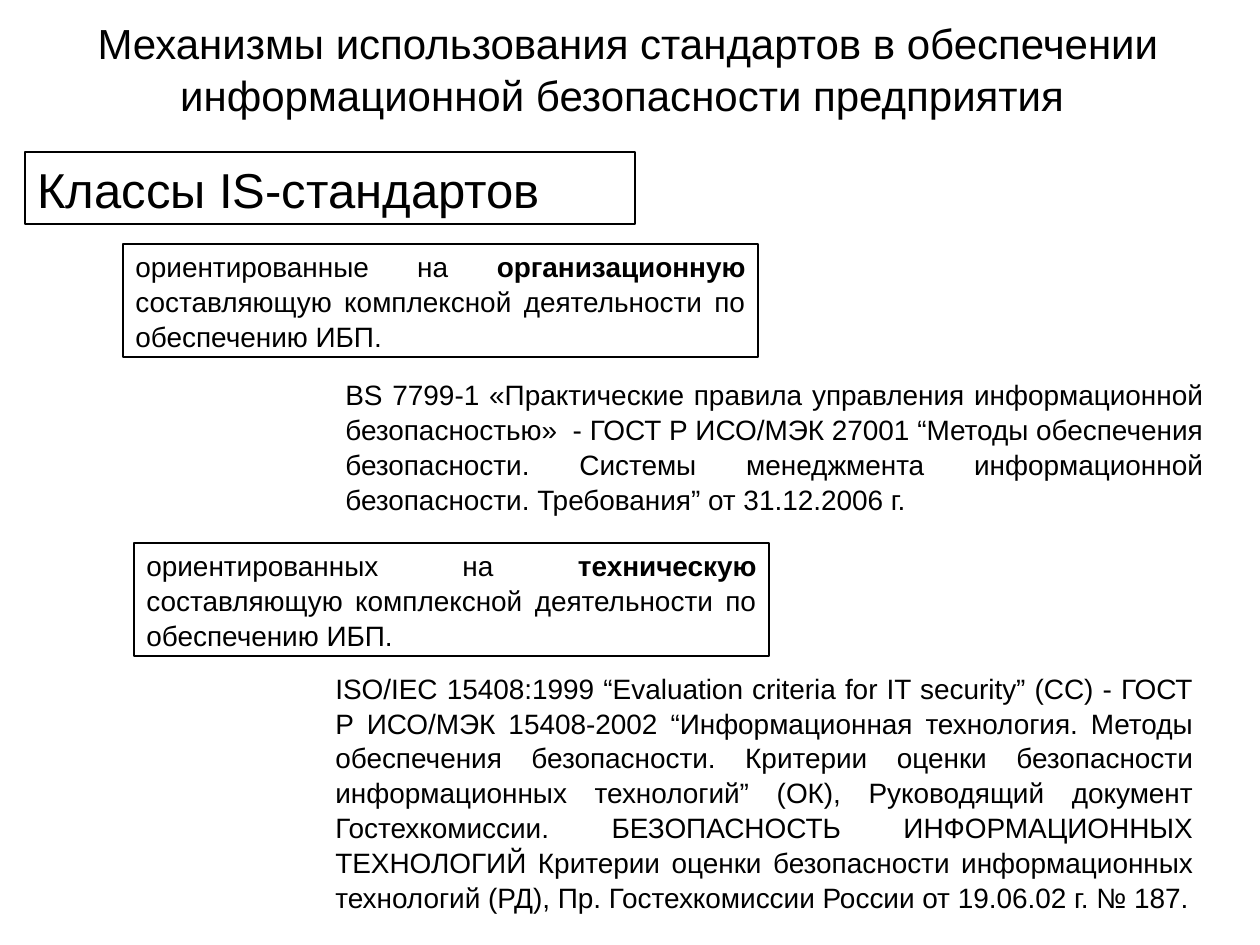
from dataclasses import dataclass

from pptx import Presentation
from pptx.dml.color import RGBColor
from pptx.enum.shapes import MSO_SHAPE as Shape
from pptx.enum.text import MSO_ANCHOR as Anchor, PP_ALIGN as Align
from pptx.util import Emu, Pt

PX_PER_INCH = 126
BLACK = RGBColor(0x00, 0x00, 0x00)
FONT = "Arial"
LINE_SPACING = 1.04


def px(length: int) -> Emu:
    return Emu(round(length * 914400 / PX_PER_INCH))


@dataclass(frozen=True)
class Block:
    left: int
    top: int
    width: int
    height: int
    runs: tuple[str, ...]  # every second run is bold
    size: int = 16
    align: Align = Align.JUSTIFY
    framed: bool = False


def standards_class(left: int, top: int, opening: str, aspect: str) -> Block:
    ending = " составляющую комплексной деятельности по обеспечению ИБП."
    return Block(left, top, 635, 113, (opening, aspect, ending), framed=True)


BLOCKS = (
    # Title and heading
    Block(20, -34, 1216, 203,
          ("Механизмы использования стандартов в обеспечении "
           "информационной безопасности предприятия ",),
          size=24, align=Align.CENTER),
    Block(25, 152, 610, 72, ("Классы IS-стандартов",), size=28, framed=True),
    # Organisational standards
    standards_class(123, 244, "ориентированные на ", "организационную"),
    Block(333, 373, 883, 147,
          ("BS 7799-1 «Практические правила управления информационной "
           "безопасностью»  - ГОСТ Р ИСО/МЭК 27001 “Методы обеспечения "
           "безопасности. Системы менеджмента информационной безопасности. "
           "Требования” от 31.12.2006 г.",)),
    # Technical standards
    standards_class(134, 543, "ориентированных на ", "техническую"),
    Block(323, 651, 883, 282,
          ("ISO/IEC 15408:1999 “Evaluation criteria for IT security” (СС) - "
           "ГОСТ Р ИСО/МЭК 15408-2002 “Информационная технология. Методы "
           "обеспечения безопасности. Критерии оценки безопасности "
           "информационных технологий” (ОК), Руководящий документ "
           "Гостехкомиссии. БЕЗОПАСНОСТЬ ИНФОРМАЦИОННЫХ ТЕХНОЛОГИЙ Критерии "
           "оценки безопасности информационных технологий (РД), Пр. "
           "Гостехкомиссии России от 19.06.02 г. № 187.",)),
)


def draw_block(slide, block: Block) -> None:
    bounds = [px(n) for n in (block.left, block.top, block.width, block.height)]
    if block.framed:
        holder = slide.shapes.add_shape(Shape.RECTANGLE, *bounds)
        holder.shadow.inherit = False
        holder.fill.background()
        holder.line.color.rgb = BLACK
        holder.line.width = Pt(0.75)
    else:
        holder = slide.shapes.add_textbox(*bounds)

    frame = holder.text_frame
    frame.word_wrap = True
    frame.vertical_anchor = Anchor.MIDDLE
    paragraph = frame.paragraphs[0]
    paragraph.alignment = block.align
    paragraph.line_spacing = LINE_SPACING
    for index, text in enumerate(block.runs):
        run = paragraph.add_run()
        run.text = text
        font_format = {"name": FONT, "size": Pt(block.size), "bold": index % 2 == 1}
        for attribute, value in font_format.items():
            setattr(run.font, attribute, value)
        run.font.color.rgb = BLACK


def main() -> None:
    deck = Presentation()
    deck.slide_width, deck.slide_height = px(1260), px(945)
    slide = deck.slides.add_slide(deck.slide_layouts[6])
    for block in BLOCKS:
        draw_block(slide, block)
    deck.save("out.pptx")


if __name__ == "__main__":
    main()
